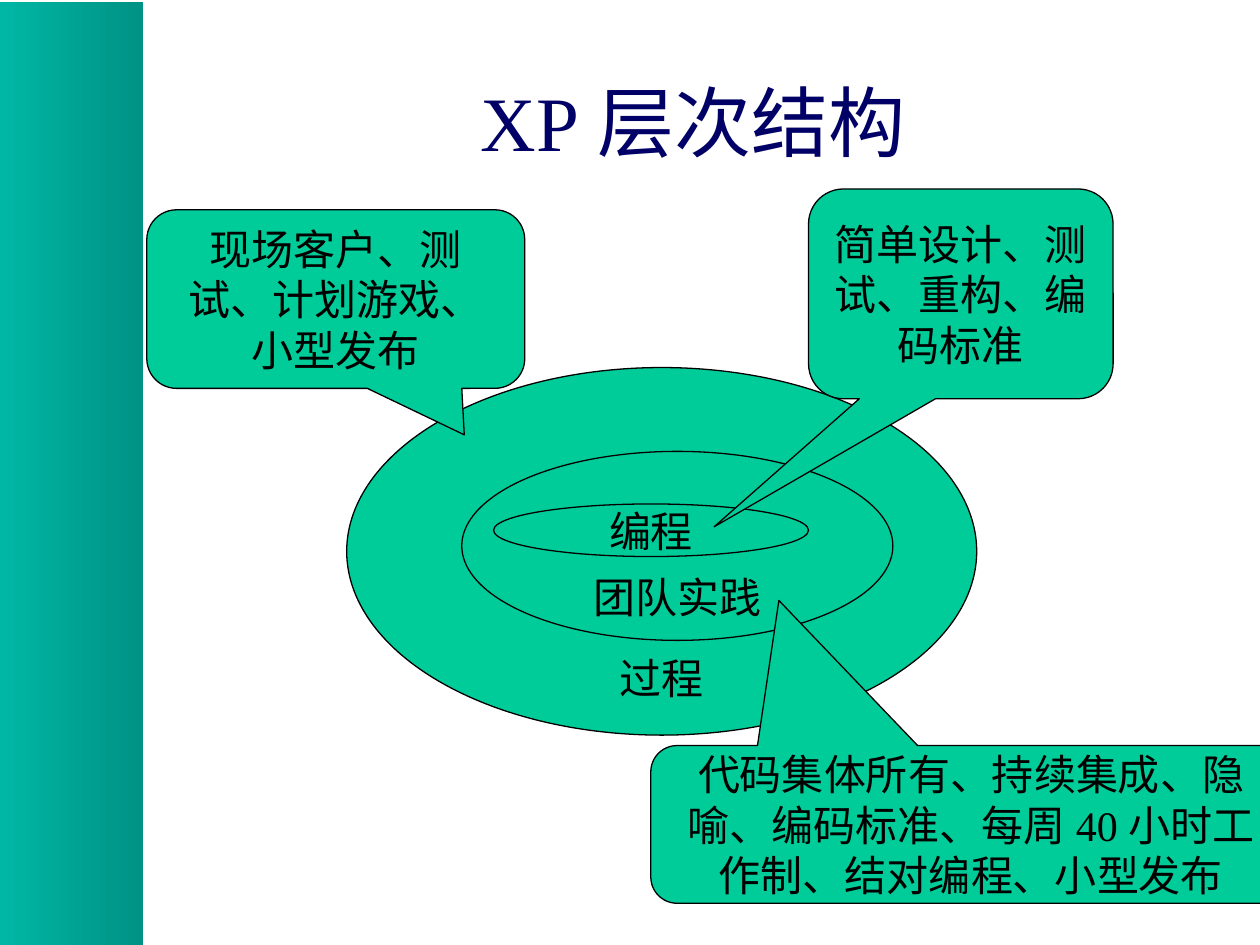
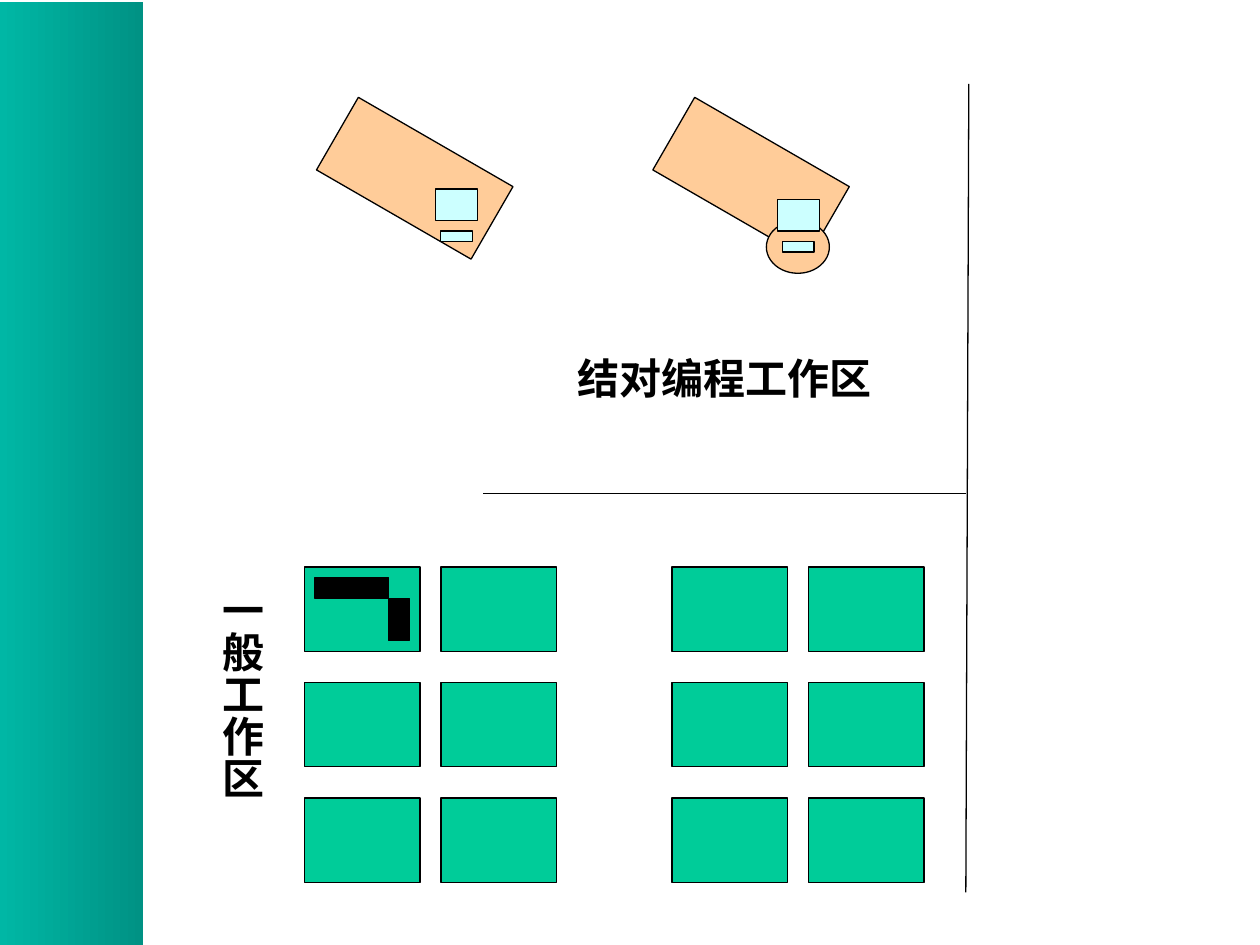
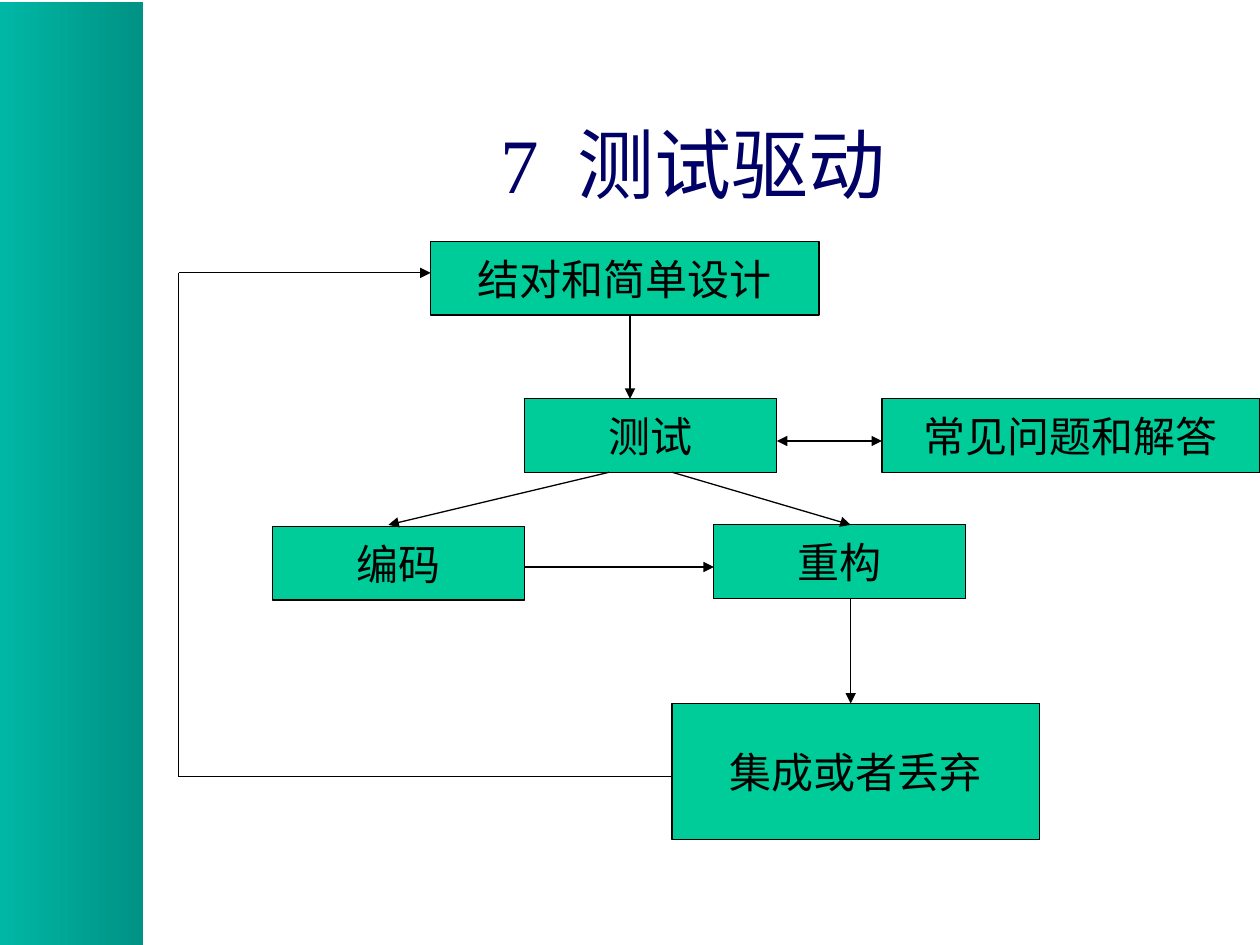
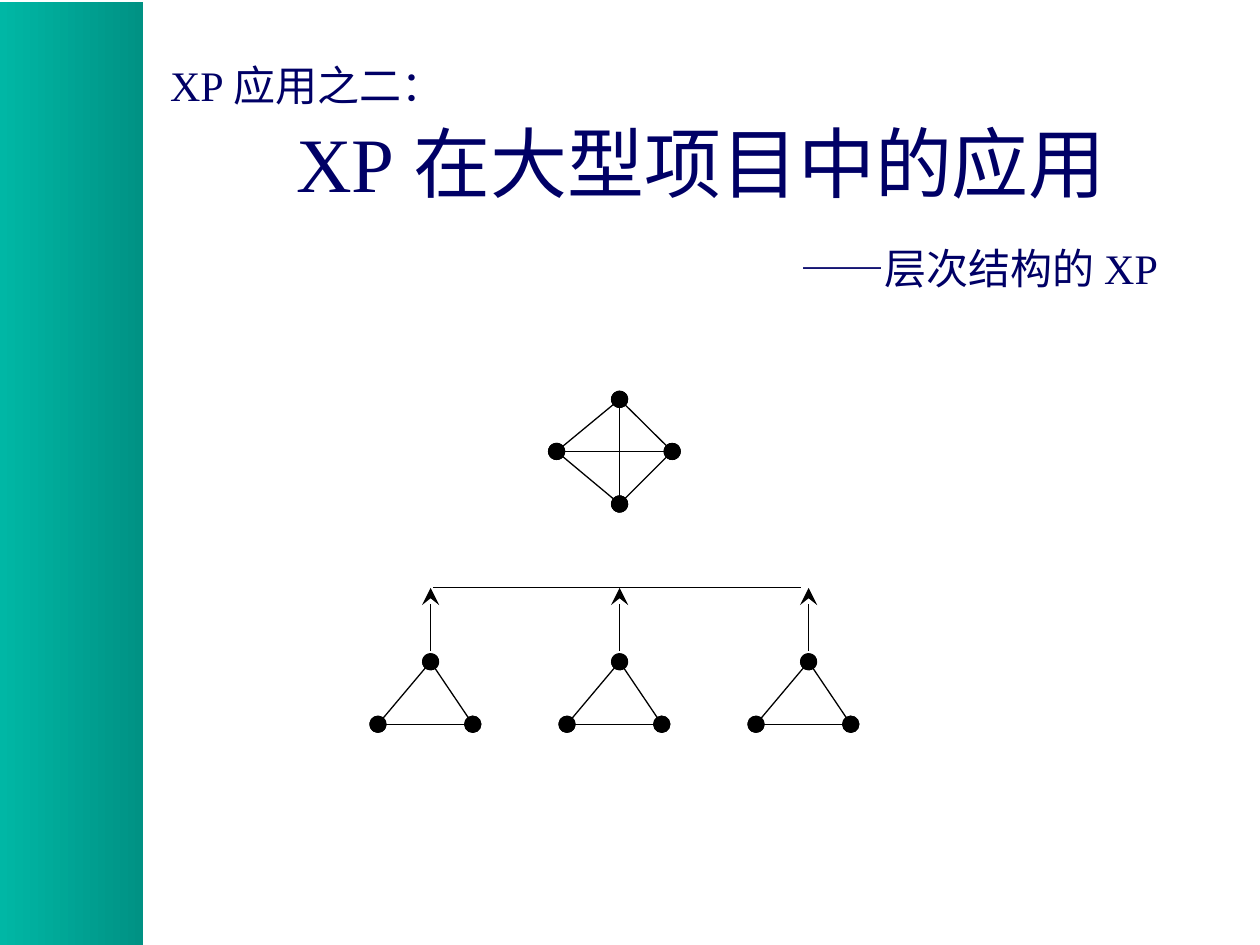
from dataclasses import dataclass
from itertools import combinations, product

from lxml import etree
from pptx import Presentation
from pptx.dml.color import RGBColor
from pptx.enum.shapes import MSO_CONNECTOR, MSO_SHAPE
from pptx.enum.text import MSO_ANCHOR, MSO_AUTO_SIZE, PP_ALIGN
from pptx.oxml.ns import qn
from pptx.util import Cm, Pt

RECT = MSO_SHAPE.RECTANGLE
OVAL = MSO_SHAPE.OVAL
CALLOUT = MSO_SHAPE.ROUNDED_RECTANGULAR_CALLOUT
STRAIGHT = MSO_CONNECTOR.STRAIGHT
MIDDLE = MSO_ANCHOR.MIDDLE
TOP = MSO_ANCHOR.TOP
GROW = MSO_AUTO_SIZE.SHAPE_TO_FIT_TEXT
CENTER = PP_ALIGN.CENTER
LEFT = PP_ALIGN.LEFT


@dataclass(frozen=True)
class Theme:
    green: str = "00CC99"
    peach: str = "FFCC99"
    cyan: str = "CCFFFF"
    black: str = "000000"
    navy: str = "000066"
    band_start: str = "00B7A5"
    band_end: str = "009284"
    serif: str = "Times New Roman"
    sans: str = "Lato"
    title: int = 44
    body: int = 24
    line: float = 0.75


THEME = Theme()


def rgb(value):
    return RGBColor.from_string(value)


def write(shape, text, size=THEME.body, color=THEME.black, font=THEME.serif,
          bold=False, wrap=True, anchor=MIDDLE, align=CENTER):
    tf = shape.text_frame
    tf.text = text
    tf.word_wrap = wrap
    tf.vertical_anchor = anchor
    for p in tf.paragraphs:
        p.alignment = align
        p._p.get_or_add_pPr().set("hangingPunct", "0")
        for r in p.runs:
            r.font.size = Pt(size)
            r.font.name = font
            r.font.bold = bold
            r.font.color.rgb = rgb(color)


def add_box(s, kind, x, y, w, h, fill=THEME.green):
    sp = s.shapes.add_shape(kind, Cm(x), Cm(y), Cm(w), Cm(h))
    sp.shadow.inherit = False
    sp.fill.solid()
    sp.fill.fore_color.rgb = rgb(fill)
    sp.line.color.rgb = rgb(THEME.black)
    sp.line.width = Pt(THEME.line)
    return sp


def add_text(s, text, x, y, w, h, **style):
    sp = s.shapes.add_textbox(Cm(x), Cm(y), Cm(w), Cm(h))
    write(sp, text, **style)
    return sp


def add_title(s, text, y, align=CENTER):
    return add_text(s, text, 3.18, y, 21.59, 3.18, size=THEME.title,
                    color=THEME.navy, align=align)


def add_area_label(s, text, x, y, w, h):
    sp = add_text(s, text, x, y, w, h, bold=True, anchor=TOP)
    sp.text_frame.auto_size = GROW
    for p in sp.text_frame.paragraphs:
        p.space_before = Pt(15)
    return sp


def add_callout(s, text, x, y, w, h, tip_x, tip_y):
    sp = add_box(s, CALLOUT, x, y, w, h)
    sp.adjustments[0] = tip_x
    sp.adjustments[1] = tip_y
    write(sp, text)


def add_step(s, text, x, y, w, h=1.48):
    sp = add_box(s, RECT, x, y, w, h)
    write(sp, text, font=THEME.sans, wrap=False)


def add_link(shapes, start, end, head=None, tail=None, tip="med"):
    c = shapes.add_connector(STRAIGHT, *[Cm(v) for v in (*start, *end)])
    c.line.color.rgb = rgb(THEME.black)
    c.line.width = Pt(THEME.line)
    sp_pr = c._element.spPr
    ln = sp_pr.find(qn("a:ln"))
    for tag, kind in (("a:headEnd", head), ("a:tailEnd", tail)):
        if kind:
            etree.SubElement(ln, qn(tag), type=kind, w=tip, len=tip)
    etree.SubElement(sp_pr, qn("a:effectLst"))


def add_mesh(s, nodes):
    group = s.shapes.add_group_shape()
    for start, end in combinations(nodes, 2):
        add_link(group.shapes, start, end, "oval", "oval", "lg")


def new_slide(prs):
    s = prs.slides.add_slide(prs.slide_layouts[6])
    band = add_box(s, RECT, 0, 0.04, 2.88, 19.01)
    band.line.fill.background()
    band.fill.gradient()
    band.fill.gradient_angle = 0
    for stop, color in zip(band.fill.gradient_stops,
                           (THEME.band_start, THEME.band_end)):
        stop.color.rgb = rgb(color)
    return s


def layers_slide(prs):
    s = new_slide(prs)
    add_title(s, "XP层次结构", 0.84)
    add_box(s, OVAL, 6.99, 7.41, 12.7, 7.41)
    add_text(s, "过程", 10.8, 13.02, 5.08, 1.27)
    add_box(s, OVAL, 9.31, 9.1, 8.69, 3.81)
    add_text(s, "团队实践", 11.11, 11.39, 5.08, 1.27)
    core = add_box(s, OVAL, 9.95, 10.16, 6.35, 1.06)
    write(core, "编程", wrap=False)
    add_callout(s, "现场客户、测试、计划游戏、小型发布",
                2.96, 4.23, 7.62, 3.6, 0.34, 0.76)
    add_callout(s, "简单设计、测试、重构、编码标准",
                16.3, 3.81, 6.14, 4.23, -0.81, 1.11)
    add_callout(s, "代码集体所有、持续集成、隐喻、编码标准、"
                "每周40小时工作制、结对编程、小型发布",
                13.12, 15.03, 12.91, 3.18, -0.3, -1.42)


def add_computer(s, x, y):
    add_box(s, RECT, x, y, 0.85, 0.64, THEME.cyan)
    add_box(s, RECT, x + 0.1, y + 0.85, 0.64, 0.21, THEME.cyan)


def workspace_slide(prs):
    s = new_slide(prs)
    for pair, column, row in product(range(2), range(2), range(3)):
        add_box(s, RECT, 6.14 + pair * 7.41 + column * 2.75,
                11.43 + row * 2.33, 2.33, 1.7)
    add_link(s.shapes, (9.74, 9.95), (19.47, 9.95))
    add_link(s.shapes, (19.53, 1.69), (19.47, 17.99))
    add_box(s, RECT, 6.35, 11.64, 1.48, 0.42, THEME.black)
    add_box(s, RECT, 7.83, 12.06, 0.42, 0.85, THEME.black)
    for x in (6.56, 13.34):
        desk = add_box(s, RECT, x, 2.75, 3.6, 1.69, THEME.peach)
        desk.rotation = 30
    add_box(s, OVAL, 15.45, 4.45, 1.27, 1.06, THEME.peach)
    add_computer(s, 8.78, 3.81)
    add_computer(s, 15.67, 4.02)
    add_area_label(s, "结对编程工作区", 11.01, 6.99, 7.2, 1.27)
    side = add_area_label(s, "一般工作区", 3.99, 11.64, 1.53, 5.5)
    tf = side.text_frame
    tf.margin_left = tf.margin_right = Cm(0.13)
    tf.margin_top = tf.margin_bottom = Cm(0.25)
    tf._txBody.bodyPr.set("vert", "eaVert")


def test_driven_slide(prs):
    s = new_slide(prs)
    add_title(s, "7 测试驱动", 1.7)
    add_step(s, "结对和简单设计", 8.68, 4.87, 7.83)
    add_step(s, "常见问题和解答", 17.78, 8.04, 7.62)
    add_step(s, "测试", 10.58, 8.04, 5.08)
    add_step(s, "编码", 5.5, 10.62, 5.08)
    add_step(s, "重构", 14.39, 10.58, 5.08)
    add_step(s, "集成或者丢弃", 13.55, 14.18, 7.41, 2.75)

    loop_top, loop_bottom = (3.6, 5.5), (3.6, 15.66)
    arrows = [
        ((12.7, 6.35), (12.7, 8.04)),
        ((12.28, 9.52), (7.83, 10.58)),
        ((13.55, 9.52), (17.15, 10.58)),
        ((10.58, 11.43), (14.39, 11.43)),
        ((17.15, 12.06), (17.15, 14.18)),
        (loop_top, (8.68, 5.5)),
    ]
    for start, end in arrows:
        add_link(s.shapes, start, end, tail="triangle")
    add_link(s.shapes, (15.66, 8.89), (17.78, 8.89), "triangle", "triangle")
    add_link(s.shapes, loop_top, loop_bottom)
    add_link(s.shapes, loop_bottom, (13.55, 15.66))


def large_project_slide(prs):
    s = new_slide(prs)
    title = add_title(s, "XP应用之二：\nXP在大型项目中的应用\n——层次结构的XP",
                      1.7, LEFT)
    title.text_frame.margin_top = Cm(0.65)
    lead, main_line, subtitle = title.text_frame.paragraphs
    for p in (lead, subtitle):
        p.runs[0].font.size = Pt(THEME.body)
    for p, indent, gap in ((main_line, 2.54, 3.5), (subtitle, 12.7, 19.5)):
        p._p.get_or_add_pPr().set("marL", str(Cm(indent)))
        p.space_before = Pt(gap)

    add_mesh(s, [(11.22, 9.1), (12.49, 8.05), (13.55, 9.1), (12.49, 10.16)])
    bar_y = 11.85
    links = s.shapes.add_group_shape().shapes
    add_link(links, (8.73, bar_y), (16.14, bar_y))
    for team in range(3):
        x = 8.68 + team * 3.81
        add_mesh(s, [(x, 13.34), (x - 1.06, 14.6), (x + 0.85, 14.6)])
        add_link(links, (x, 13.12), (x, bar_y), tail="stealth", tip="lg")


def main():
    prs = Presentation()
    prs.slide_width = Cm(25.4)
    prs.slide_height = Cm(19.05)
    layers_slide(prs)
    workspace_slide(prs)
    test_driven_slide(prs)
    large_project_slide(prs)
    prs.save("out.pptx")


if __name__ == "__main__":
    main()
